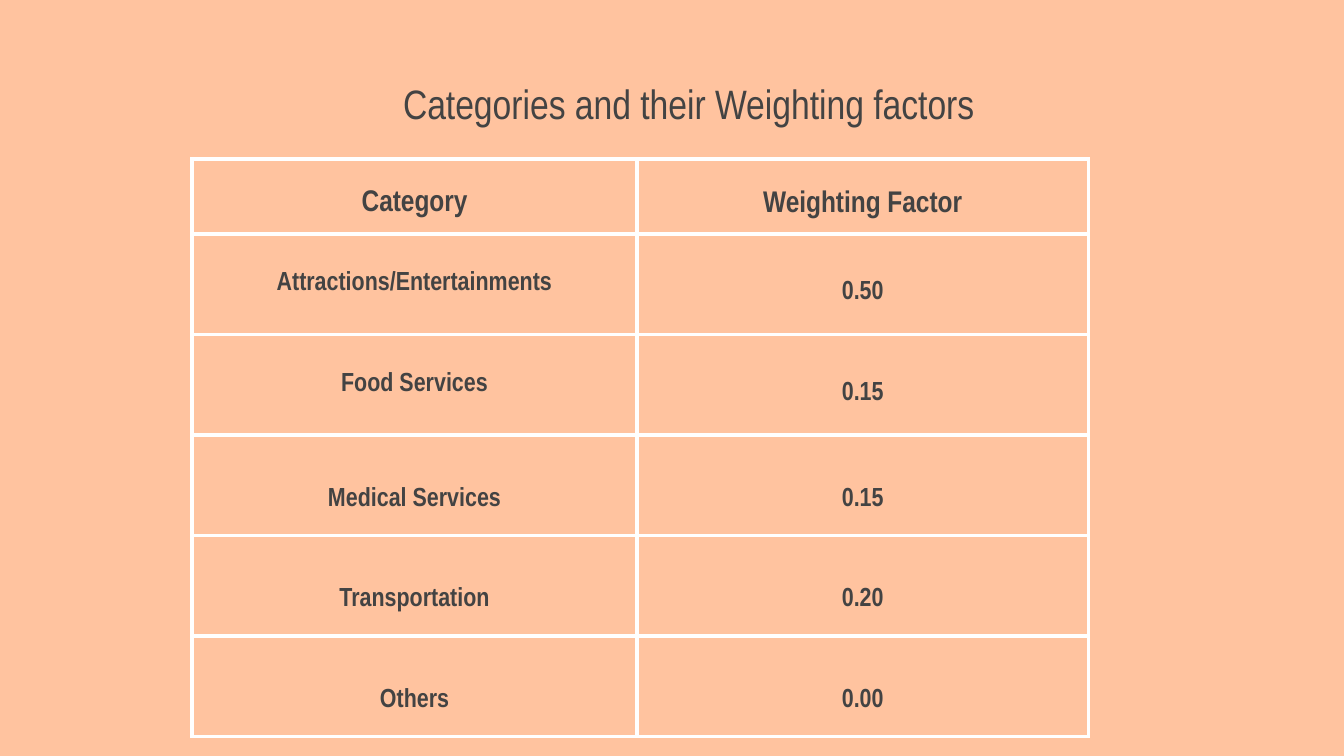
from pptx import Presentation
from pptx.dml.color import RGBColor
from pptx.enum.text import MSO_ANCHOR as Anchor, MSO_AUTO_SIZE as Fit, PP_ALIGN as Align
from pptx.oxml import parse_xml
from pptx.oxml.ns import nsdecls
from pptx.util import Cm, Pt

ROWS = [
    ("Category", "Weighting Factor"),
    ("Attractions/Entertainments", "0.50"),
    ("Food Services", "0.15"),
    ("Medical Services", "0.15"),
    ("Transportation", "0.20"),
    ("Others", "0.00"),
]
WIDTHS = (8.41, 8.53)
HEAD, BODY = 1.42, 1.9
LOW = 0.55  # top inset of the rows whose text sits lower


def color(text):
    return RGBColor.from_string(text)


class Deck:
    font = "Arial Narrow"
    ink = "434343"
    back = "FFC39F"
    rule = "FFFFFF"

    def __init__(self, width, height):
        self.show = Presentation()
        self.show.slide_width, self.show.slide_height = Cm(width), Cm(height)
        self.slide = self.show.slides.add_slide(self.show.slide_layouts[5])
        fill = self.slide.background.fill
        fill.solid()
        fill.fore_color.rgb = color(self.back)

    def label(self, frame, text, size, bold=False):
        frame.text = text
        line = frame.paragraphs[0]
        line.alignment = Align.CENTER
        for run in line.runs:
            run.font.name = self.font
            run.font.size = Pt(size)
            run.font.bold = bold
            run.font.color.rgb = color(self.ink)
        return line

    def title(self, text, left, top, width, height):
        shape = self.slide.shapes.title
        shape.left, shape.top = Cm(left), Cm(top)
        shape.width, shape.height = Cm(width), Cm(height)
        frame = shape.text_frame
        frame.auto_size = Fit.NONE
        frame.vertical_anchor = Anchor.BOTTOM
        frame.margin_left = frame.margin_right = 0
        frame.margin_top = frame.margin_bottom = 0
        self.label(frame, text, 22)

    def border(self, cell, points):
        props = cell._tc.get_or_add_tcPr()
        for side in "LRTB":
            props.append(parse_xml(
                f'<a:ln{side} {nsdecls("a")} w="{Pt(points)}"><a:solidFill>'
                f'<a:srgbClr val="{self.rule}"/></a:solidFill></a:ln{side}>'))

    def cell(self, cell, text, size, inset):
        cell.margin_left = cell.margin_right = cell.margin_bottom = 0
        cell.margin_top = Cm(inset)
        cell.vertical_anchor = Anchor.MIDDLE
        self.border(cell, 2.25)
        cell.fill.background()
        return self.label(cell.text_frame, text, size, bold=True)

    def table(self, rows, left, top):
        tall = [HEAD] + [BODY] * (len(rows) - 1)
        grid = self.slide.shapes.add_table(
            len(rows), len(WIDTHS), Cm(left), Cm(top), Cm(sum(WIDTHS)), Cm(sum(tall))).table
        grid.first_row = grid.horz_banding = False
        for col, width in zip(grid.columns, WIDTHS):
            col.width = Cm(width)
        for r, (row, height) in enumerate(zip(rows, tall)):
            grid.rows[r].height = Cm(height)
            for c, text in enumerate(row):
                inset = LOW if r > 2 else 0.33 * c
                line = self.cell(grid.cell(r, c), text, 14 if r else 16, inset)
                if r == c == 0:
                    line.line_spacing = 1.5
                    line.space_before = Pt(6)
                elif c and r in (1, 2):
                    line.space_before = Pt(2)


def main():
    deck = Deck(25.4, 14.29)
    deck.title("Categories and their Weighting factors", 1.14, 1.3, 23.75, 1.12)
    deck.table(ROWS, 3.63, 3)
    deck.show.save("out.pptx")


if __name__ == "__main__":
    main()
